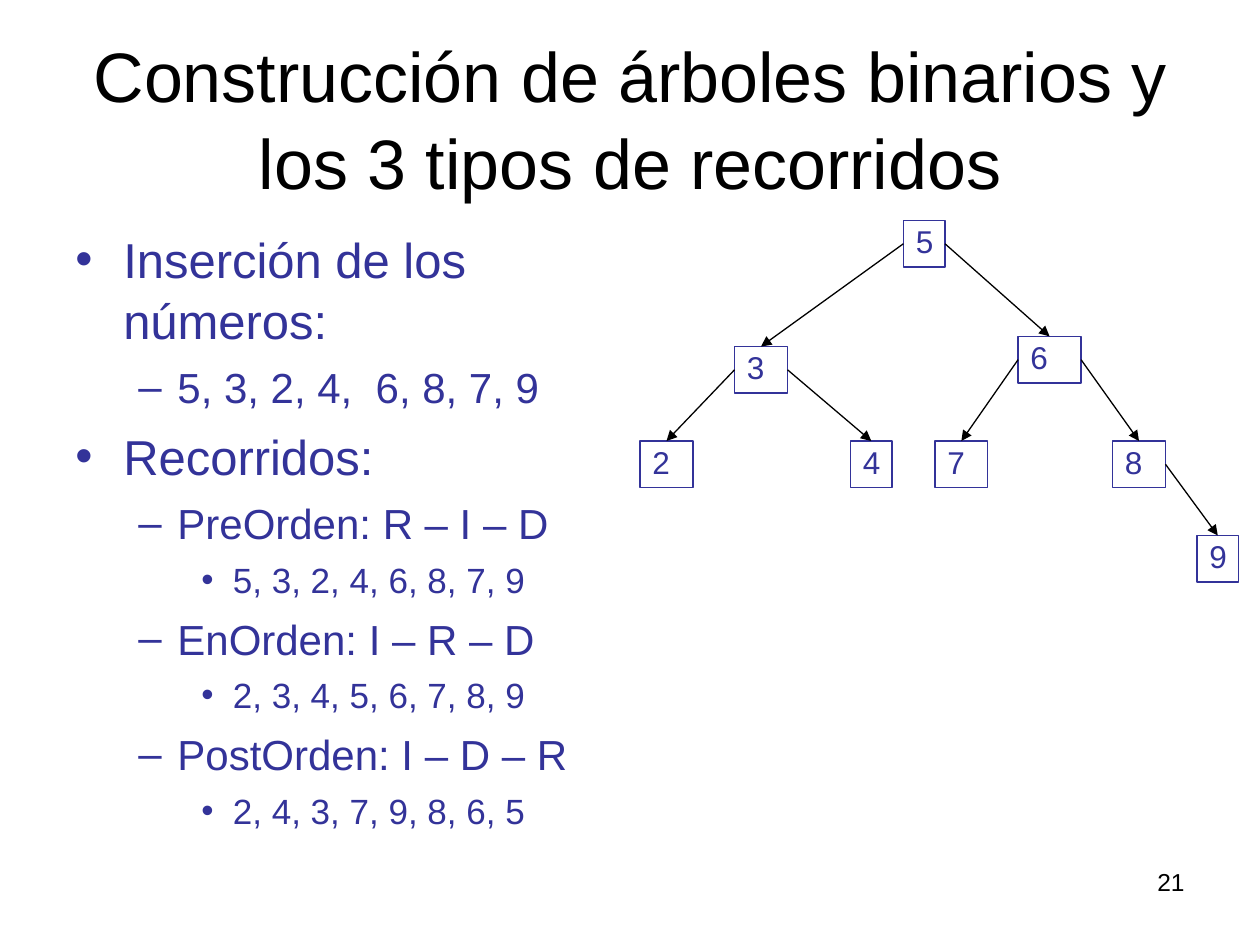
from lxml.etree import SubElement
from pptx import Presentation
from pptx.dml.color import RGBColor
from pptx.enum.shapes import MSO_CONNECTOR as Connector, MSO_SHAPE as Shape
from pptx.enum.text import MSO_ANCHOR as Anchor, MSO_AUTO_SIZE as AutoSize, PP_ALIGN as Align
from pptx.oxml.ns import qn
from pptx.util import Inches, Pt

INDIGO, BLACK = "333399", "000000"
LINE_SPACING = 1.04
NODE_HEIGHT = 0.37
LEVELS = [(28, 7, 0.38, 0.38, "•"), (24, 6, 0.81, 0.31, "–"), (20, 5, 1.25, 0.25, "•")]
OUTLINE = [
    (0, "Inserción de los números:"),
    (1, "5, 3, 2, 4,  6, 8, 7, 9"),
    (0, "Recorridos:"),
    (1, "PreOrden: R – I – D"),
    (2, "5, 3, 2, 4, 6, 8, 7, 9"),
    (1, "EnOrden: I – R – D"),
    (2, "2, 3, 4, 5, 6, 7, 8, 9"),
    (1, "PostOrden: I – D – R"),
    (2, "2, 4, 3, 7, 9, 8, 6, 5"),
]
NODES = {
    "5": (2.09, 0, 0.33), "3": (0.75, 1, 0.42), "4": (1.67, 1.75, 0.33),
    "6": (3, 0.92, 0.5), "2": (0, 1.75, 0.42), "8": (3.75, 1.75, 0.42),
    "7": (2.34, 1.75, 0.42), "9": (4.42, 2.5, 0.33),
}
LEFT_CHILDREN = {"5": "3", "3": "2", "6": "7"}
RIGHT_CHILDREN = {"5": "6", "3": "4", "6": "8", "8": "9"}


def color(value):
    """Turn a hex string into a colour."""
    return RGBColor.from_string(value)


def format_runs(paragraph, size, value):
    """Set the font of every run in a paragraph."""
    for run in paragraph.runs:
        run.font.name = "Arial"
        run.font.size = Pt(size)
        run.font.color.rgb = color(value)


def set_indent(paragraph, margin, hanging):
    """Give a paragraph a left margin and a hanging first line."""
    properties = paragraph._p.get_or_add_pPr()
    properties.set("marL", str(Inches(margin)))
    properties.set("indent", str(-Inches(hanging)))
    return properties


def add_title(slide, left, top, width, height):
    """Place the heading in the title placeholder."""
    title = slide.shapes.title
    title.left, title.top = Inches(left), Inches(top)
    title.width, title.height = Inches(width), Inches(height)
    frame = title.text_frame
    frame.text = "Construcción de árboles binarios y los 3 tipos de recorridos"
    frame.auto_size = AutoSize.NONE
    frame.vertical_anchor = Anchor.MIDDLE
    heading = frame.paragraphs[0]
    heading.alignment = Align.CENTER
    heading.line_spacing = LINE_SPACING
    format_runs(heading, 40, BLACK)


def add_outline(slide, left, top, width, height):
    """Place the bulleted list of traversals."""
    outline = slide.shapes.add_textbox(Inches(left), Inches(top), Inches(width), Inches(height))
    frame = outline.text_frame
    frame.word_wrap = True
    frame.text = "\n".join(text for _, text in OUTLINE)
    for paragraph, (level, _) in zip(frame.paragraphs, OUTLINE):
        size, before, margin, hanging, bullet = LEVELS[level]
        paragraph.level = level
        paragraph.space_before = Pt(before)
        paragraph.line_spacing = LINE_SPACING
        properties = set_indent(paragraph, margin, hanging)
        bullet_color = SubElement(properties, qn("a:buClr"))
        SubElement(bullet_color, qn("a:srgbClr")).set("val", INDIGO)
        SubElement(properties, qn("a:buFont")).set("typeface", "Arial")
        SubElement(properties, qn("a:buChar")).set("char", bullet)
        format_runs(paragraph, size, INDIGO)


def add_node(slide, left, top, width, key):
    """Place one outlined tree node with its number."""
    node = slide.shapes.add_shape(
        Shape.RECTANGLE, Inches(left), Inches(top), Inches(width), Inches(NODE_HEIGHT))
    node.shadow.inherit = False
    node.fill.background()
    node.line.color.rgb = color(INDIGO)
    node.line.width = Pt(0.75)
    frame = node.text_frame
    frame.text = key
    frame.auto_size = AutoSize.SHAPE_TO_FIT_TEXT
    frame.vertical_anchor = Anchor.TOP
    label = frame.paragraphs[0]
    label.alignment = Align.LEFT
    label.line_spacing = 0.9
    label.space_before = Pt(11.2)
    set_indent(label, 0.38, 0.38)
    format_runs(label, 18, INDIGO)


def add_branch(slide, start, end):
    """Draw an arrow from a parent to its child."""
    points = [Inches(value) for value in (*start, *end)]
    branch = slide.shapes.add_connector(Connector.STRAIGHT, *points)
    branch.line.color.rgb = color(BLACK)
    branch.line.width = Pt(0.75)
    SubElement(branch.line._get_or_add_ln(), qn("a:tailEnd")).set("type", "triangle")
    SubElement(branch._element.spPr, qn("a:effectLst"))


def add_tree(slide, left, top):
    """Place the nodes and join each side of a parent to the top of its child."""
    for key, (x, y, width) in NODES.items():
        add_node(slide, left + x, top + y, width, key)
    for children, side in ((LEFT_CHILDREN, 0), (RIGHT_CHILDREN, 1)):
        for parent, child in children.items():
            x, y, width = NODES[parent]
            child_x, child_y, child_width = NODES[child]
            start = left + x + side * width, top + y + NODE_HEIGHT / 2
            end = left + child_x + child_width / 2, top + child_y
            add_branch(slide, start, end)


def add_page_number(slide, left, top, width, height):
    """Place the page number at the right of its box."""
    box = slide.shapes.add_textbox(Inches(left), Inches(top), Inches(width), Inches(height))
    box.text_frame.word_wrap = True
    box.text_frame.text = "21"
    number = box.text_frame.paragraphs[0]
    number.alignment = Align.RIGHT
    format_runs(number, 14, BLACK)


def main():
    """Build the slide and save it."""
    deck = Presentation()
    deck.slide_width, deck.slide_height = Inches(10), Inches(7.5)
    slide = deck.slides.add_slide(deck.slide_layouts[5])
    add_title(slide, 0.5, 0.3, 9, 1.25)
    add_outline(slide, 0.5, 1.75, 4.42, 4.95)
    add_tree(slide, 5.08, 1.75)
    add_page_number(slide, 7.17, 6.83, 2.33, 0.52)
    deck.save("out.pptx")


if __name__ == "__main__":
    main()
